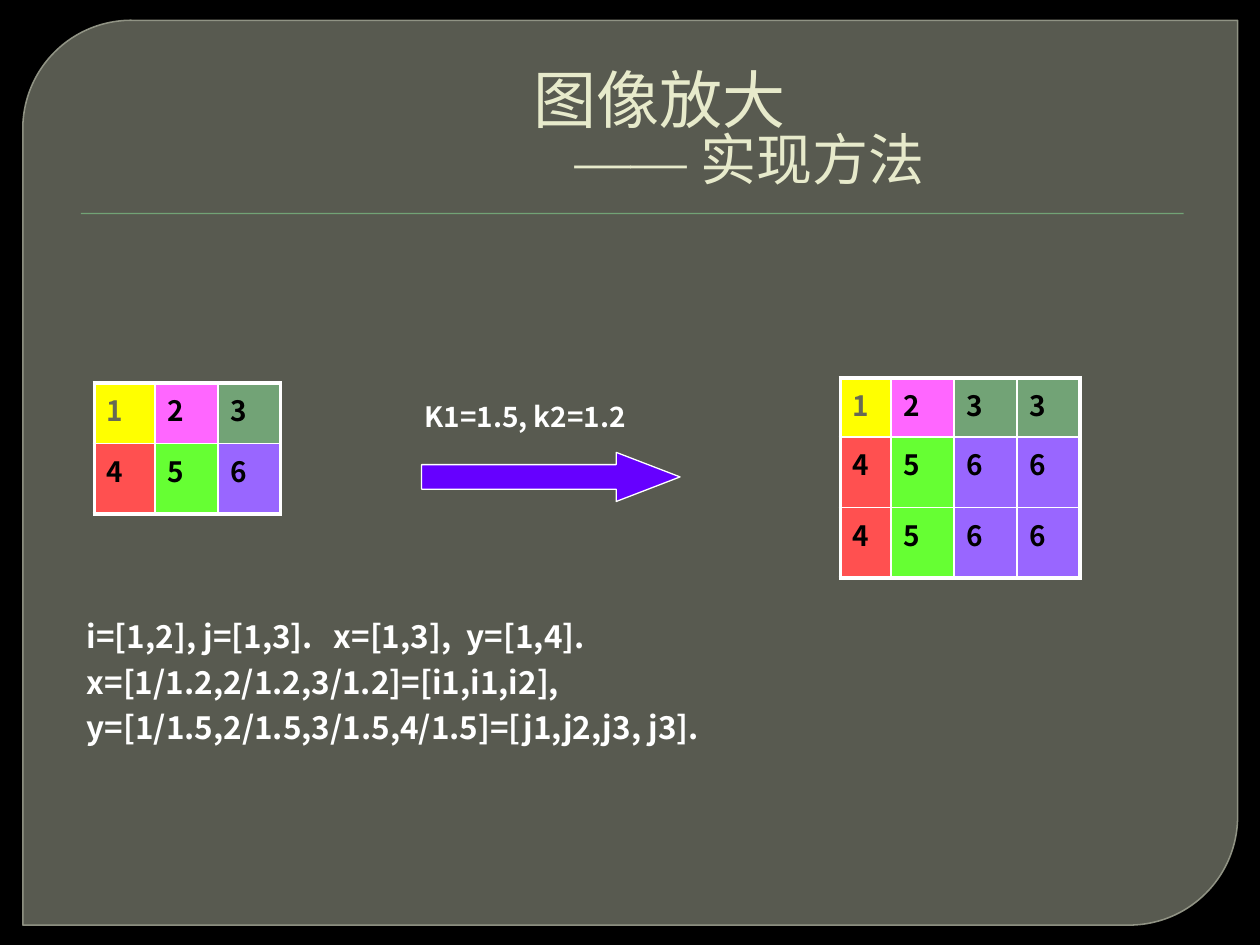
from dataclasses import dataclass

from lxml.etree import SubElement
from pptx import Presentation
from pptx.dml.color import RGBColor
from pptx.enum.shapes import MSO_SHAPE as Preset
from pptx.enum.text import MSO_ANCHOR as Anchor, MSO_AUTO_SIZE as AutoSize, PP_ALIGN as Align
from pptx.oxml.ns import qn
from pptx.util import Cm, Pt


@dataclass(frozen=True)
class Theme:
    """Colours, typefaces and type sizes of the deck."""
    sans: str = "Noto Sans CJK SC"
    serif: str = "Times New Roman"
    background: str = "000000"
    panel: str = "888B7B"
    panel_line: str = "9DA090"
    rule: str = "72A376"
    arrow: str = "6600FF"
    title: str = "E7EACB"
    light: str = "FFFFFF"
    dark: str = "000000"
    muted: str = "676A55"
    title_size: float = 36
    subtitle_size: float = 32
    formula_size: float = 18
    cell_size: float = 16
    thick: float = 2.25
    thin: float = 1


@dataclass(frozen=True)
class Frame:
    """Position and size in centimetres."""
    left: float
    top: float
    width: float
    height: float

    def lengths(self) -> tuple:
        """Return the four values as lengths."""
        return Cm(self.left), Cm(self.top), Cm(self.width), Cm(self.height)


@dataclass(frozen=True)
class PixelGrid:
    """A numbered pixel grid, one string of digits per row."""
    left: float
    top: float
    columns: tuple
    rows: tuple
    pixels: tuple


THEME = Theme()
PIXEL_FILLS = {"1": "FFFF00", "2": "FF66FF", "3": "72A376",
               "4": "FF5050", "5": "66FF33", "6": "9966FF"}
GRIDS = (
    PixelGrid(16.94, 7.62, (1.02, 1.27, 1.27, 1.27), (1.19, 1.42, 1.42),
              ("1233", "4566", "4566")),
    PixelGrid(1.9, 7.72, (1.22, 1.27, 1.27), (1.22, 1.42), ("123", "456")),
)
FORMULAS = (
    "i=[1,2], j=[1,3].\tx=[1,3],\ty=[1,4].",
    "x=[1/1.2,2/1.2,3/1.2]=[i1,i1,i2],",
    "y=[1/1.5,2/1.5,3/1.5,4/1.5]=[j1,j2,j3, j3].",
)
FORMULA_TABS = (4.98, 7.66)


def style_span(span, size: float, color: str, face: str = THEME.sans, bold: bool = True) -> None:
    """Set the type of one run, East Asian face included."""
    span.font.size = Pt(size)
    span.font.bold = bold
    span.font.name = face
    span.font.color.rgb = RGBColor.from_string(color)
    SubElement(span.font._element, qn("a:ea"), typeface=face)


def add_preset(page, preset, frame: Frame, fill: str, line: str = "", width: float = 0,
               adjust: tuple = ()):
    """Add a flat preset shape."""
    shape = page.shapes.add_shape(preset, *frame.lengths())
    shape.shadow.inherit = False
    for index, value in enumerate(adjust):
        shape.adjustments[index] = value
    shape.fill.solid()
    shape.fill.fore_color.rgb = RGBColor.from_string(fill)
    if line:
        shape.line.color.rgb = RGBColor.from_string(line)
        shape.line.width = Pt(width)
    else:
        shape.line.fill.background()
    return shape


def set_opacity(shape, fill: int, line: int) -> None:
    """Set fill and line opacity in percent."""
    colors = shape._element.spPr.iter(qn("a:srgbClr"))
    for color, percent in zip(colors, (fill, line)):
        SubElement(color, qn("a:alpha"), val=str(percent * 1000))


def add_lines(page, frame: Frame, lines: tuple, size: float, gap: float = 0, tabs: tuple = ()) -> None:
    """Add a text box with one paragraph per line."""
    box = page.shapes.add_textbox(*frame.lengths())
    box.text_frame.word_wrap = True
    for index, line in enumerate(lines):
        para = box.text_frame.add_paragraph() if index else box.text_frame.paragraphs[0]
        para.text = line
        if "\t" in line:
            stops = SubElement(para._p.get_or_add_pPr(), qn("a:tabLst"))
            for stop in tabs:
                SubElement(stops, qn("a:tab"), pos=str(Cm(stop)), algn="l")
        if index:
            para.space_before = Pt(gap)
        for span in para.runs:
            style_span(span, size, THEME.light)


def set_borders(cell, edges: dict) -> None:
    """Draw the cell borders, thick where an edge is flagged."""
    properties = cell._tc.get_or_add_tcPr()
    for position, (tag, outer) in enumerate(edges.items()):
        width = THEME.thick if outer else THEME.thin
        line = SubElement(properties, qn(f"a:{tag}"), w=str(Pt(width)))
        SubElement(SubElement(line, qn("a:solidFill")), qn("a:srgbClr"), val=THEME.light)
        properties.insert(position, line)


def add_grid(page, grid: PixelGrid) -> None:
    """Add a pixel grid as a table."""
    frame = Frame(grid.left, grid.top, sum(grid.columns), sum(grid.rows))
    table = page.shapes.add_table(len(grid.rows), len(grid.columns), *frame.lengths()).table
    table.first_row = table.horz_banding = False
    for column, width in zip(table.columns, grid.columns):
        column.width = Cm(width)
    for r, (digits, height) in enumerate(zip(grid.pixels, grid.rows)):
        table.rows[r].height = Cm(height)
        for c, digit in enumerate(digits):
            cell = table.cell(r, c)
            cell.text_frame.text = digit
            span = cell.text_frame.paragraphs[0].runs[0]
            style_span(span, THEME.cell_size, THEME.muted if digit == "1" else THEME.dark)
            cell.fill.solid()
            cell.fill.fore_color.rgb = RGBColor.from_string(PIXEL_FILLS[digit])
            set_borders(cell, {"lnL": c == 0, "lnR": c == len(digits) - 1,
                               "lnT": r == 0, "lnB": r == len(grid.rows) - 1})


def fill_title(title, frame: Frame) -> None:
    """Write the title and its indented second line."""
    title.left, title.top, title.width, title.height = frame.lengths()
    text = title.text_frame
    text.auto_size = AutoSize.NONE
    text.vertical_anchor = Anchor.MIDDLE
    text.margin_top = Cm(0.46)
    text.text = "图像放大"
    subtitle = text.add_paragraph()
    subtitle.text = "—— "
    subtitle.add_run().text = "实现方法"
    subtitle._p.get_or_add_pPr().set("marL", str(Cm(3.66)))
    for para in text.paragraphs:
        para.alignment = Align.CENTER
        para.line_spacing = 0.83
        para.space_before = Pt(0)
    style_span(text.paragraphs[0].runs[0], THEME.title_size, THEME.title, bold=False)
    for span, face in zip(subtitle.runs, (THEME.serif, THEME.sans)):
        style_span(span, THEME.subtitle_size, THEME.title, face, False)


def main() -> None:
    """Build the slide on image enlargement."""
    deck = Presentation()
    deck.slide_width, deck.slide_height = Cm(25.4), Cm(19.05)
    page = deck.slides.add_slide(deck.slide_layouts[5])
    page.background.fill.solid()
    page.background.fill.fore_color.rgb = RGBColor.from_string(THEME.background)
    panel = add_preset(page, Preset.ROUND_2_DIAG_RECTANGLE, Frame(0.46, 0.41, 24.49, 18.24),
                       THEME.panel, THEME.panel_line, 0.87, (0.12, 0))
    set_opacity(panel, 65, 88)
    page.shapes._spTree.insert(2, panel._element)
    add_preset(page, Preset.RECTANGLE, Frame(1.63, 4.29, 22.23, 0.03), THEME.rule)
    add_preset(page, Preset.RIGHT_ARROW, Frame(8.5, 9.12, 5.21, 0.99),
               THEME.arrow, THEME.light, 0.75, (0.5, 1.3))
    add_lines(page, Frame(8.31, 7.92, 5.59, 0.94), ("K1=1.5, k2=1.2",), THEME.cell_size)
    add_lines(page, Frame(1.5, 12.32, 14.6, 3.3), FORMULAS, THEME.formula_size, 4.4, FORMULA_TABS)
    for grid in GRIDS:
        add_grid(page, grid)
    fill_title(page.shapes.title, Frame(2.49, 0.91, 21.59, 3.18))
    deck.save("out.pptx")


if __name__ == "__main__":
    main()
